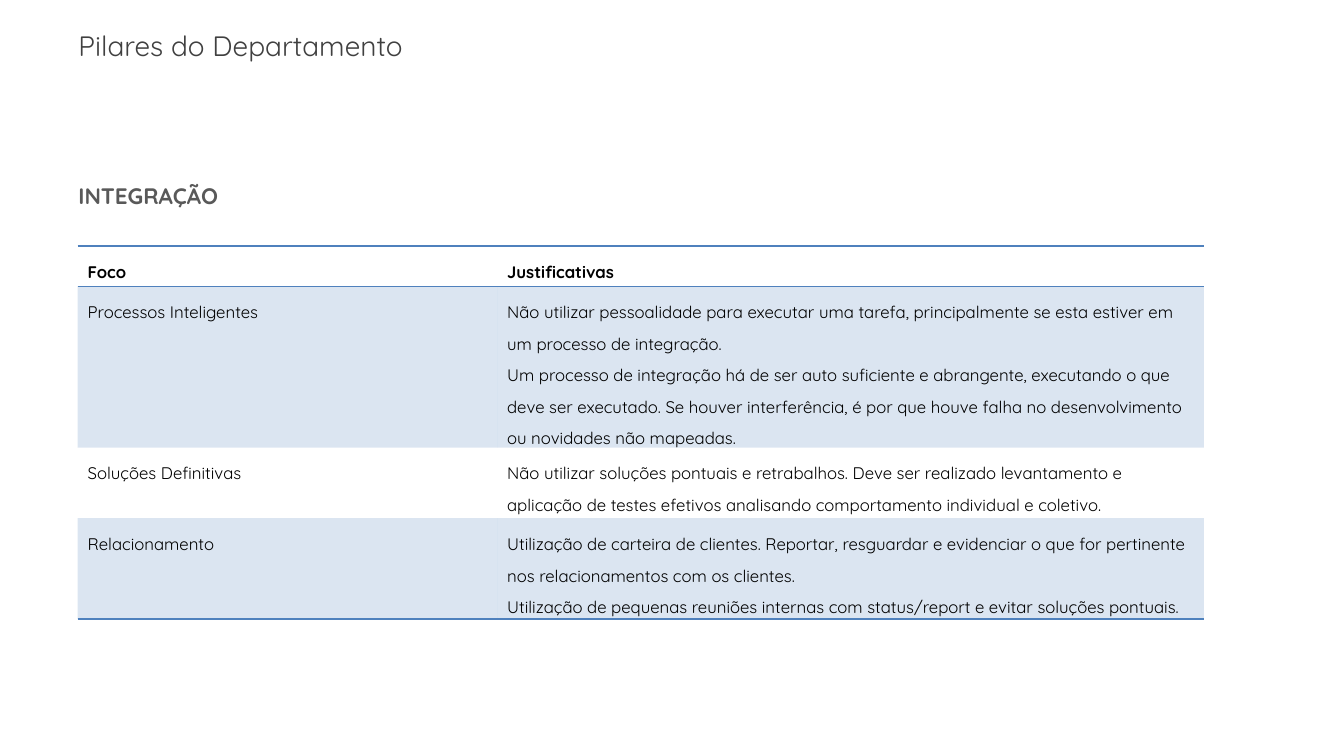
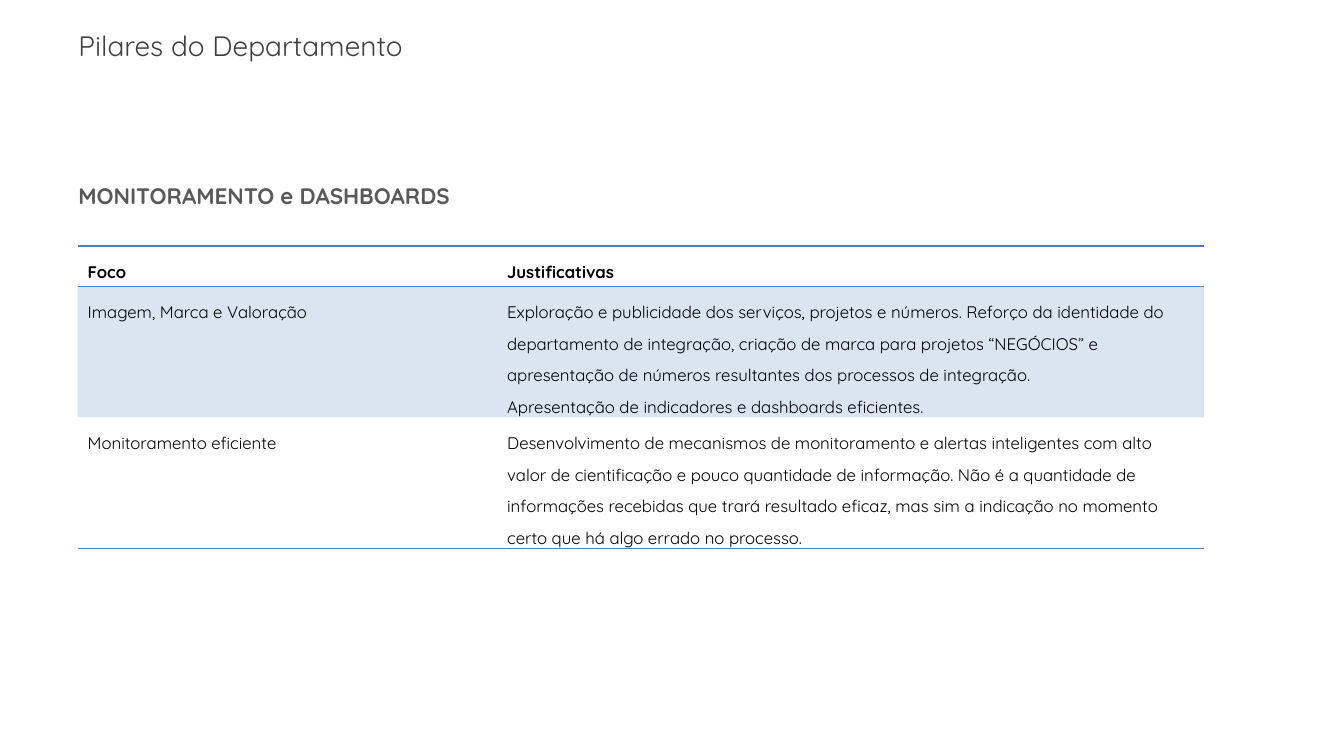
from dataclasses import dataclass

from lxml import etree
from pptx import Presentation
from pptx import util as u
from pptx.dml.color import RGBColor
from pptx.enum import text
from pptx.oxml import ns


@dataclass(frozen=True)
class Theme:
    font: str = "Quicksand"
    title_color: str = "404040"
    heading_color: str = "595959"
    body_color: str = "000000"
    accent: str = "4F81BD"
    band_opacity: int = 20
    title_size: int = 20
    heading_size: int = 16
    body_size: int = 12
    line_spacing: float = 1.5
    rule_width: int = 1


class Deck:
    """Holds the style, the presentation and the current slide."""

    def __init__(self, theme):
        self.theme = theme
        self.prs = Presentation()
        self.prs.slide_width = u.Inches(13.33)
        self.prs.slide_height = u.Inches(7.5)
        self.slide = None

    def new_slide(self):
        self.slide = self.prs.slides.add_slide(self.prs.slide_layouts[6])

    def fill_text(self, frame, paragraphs, size, color, bold=False, spacing=None):
        font_values = {"name": self.theme.font, "size": u.Pt(size), "bold": bold}
        for index, words in enumerate(paragraphs):
            paragraph = frame.add_paragraph() if index else frame.paragraphs[0]
            paragraph.line_spacing = spacing
            run = paragraph.add_run()
            run.text = words
            for name, value in font_values.items():
                setattr(run.font, name, value)
            run.font.color.rgb = RGBColor.from_string(color)

    def text_box(self, box, words, frame_values, **style):
        frame = self.slide.shapes.add_textbox(*map(u.Inches, box)).text_frame
        for name, value in {"word_wrap": True, **frame_values}.items():
            setattr(frame, name, value)
        self.fill_text(frame, [words], **style)

    def title(self, words):
        self.text_box((0.68, 0.21, 12, 0.47), words,
                      {"vertical_anchor": text.MSO_ANCHOR.MIDDLE},
                      size=self.theme.title_size, color=self.theme.title_color)

    def heading(self, words):
        self.text_box((0.68, 1.62, 11.84, 0.45), words,
                      {"auto_size": text.MSO_AUTO_SIZE.SHAPE_TO_FIT_TEXT},
                      size=self.theme.heading_size, color=self.theme.heading_color,
                      bold=True, spacing=self.theme.line_spacing)

    def paint_band(self, cell):
        cell.fill.solid()
        cell.fill.fore_color.rgb = RGBColor.from_string(self.theme.accent)
        color = cell._tc.tcPr.find(".//" + ns.qn("a:srgbClr"))
        etree.SubElement(color, ns.qn("a:alpha"), val=str(self.theme.band_opacity * 1000))

    def rule_cell(self, cell, ruled_sides):
        """Draw the ruled sides and clear the others; borders precede the fill."""
        properties = cell._tc.get_or_add_tcPr()
        for position, side in enumerate("LRTB"):
            line = etree.Element(ns.qn("a:ln" + side), w=str(u.Pt(self.theme.rule_width)))
            if side in ruled_sides:
                fill = etree.SubElement(line, ns.qn("a:solidFill"))
                etree.SubElement(fill, ns.qn("a:srgbClr"), val=self.theme.accent)
            else:
                etree.SubElement(line, ns.qn("a:noFill"))
            properties.insert(position, line)

    def focus_table(self, focuses, height):
        rows = [("Foco", ["Justificativas"]), *focuses]
        box = map(u.Inches, (0.77, 2.44, 11.17, height))
        holder = self.slide.shapes.add_table(len(rows), 2, *box)
        table = holder.table
        table.first_row = table.horz_banding = False
        for column, width in zip(table.columns, (4.16, 7.01)):
            column.width = u.Inches(width)
        for index, (focus, reasons) in enumerate(rows):
            table.rows[index].height = u.Inches(0.41 if index else 0.22)
            # Rules above and below the header and below the last row
            ruled_sides = "T" if index < 2 else ""
            ruled_sides += "B" if index in (0, len(rows) - 1) else ""
            for cell, paragraphs in zip(table.rows[index].cells, ([focus], reasons)):
                self.fill_text(cell.text_frame, paragraphs, self.theme.body_size,
                               self.theme.body_color, bold=index == 0,
                               spacing=self.theme.line_spacing)
                if index % 2:
                    self.paint_band(cell)
                else:
                    cell.fill.background()
                self.rule_cell(cell, ruled_sides)
        holder.height = u.Inches(height)


# Content: heading, table height, rows of focus and reasons
PILLARS = [
    ("INTEGRAÇÃO", 3.89, [
        ("Processos Inteligentes", [
            "Não utilizar pessoalidade para executar uma tarefa, principalmente se esta "
            "estiver em um processo de integração.",
            "Um processo de integração há de ser auto suficiente e abrangente, executando "
            "o que deve ser executado. Se houver interferência, é por que houve falha no "
            "desenvolvimento ou novidades não mapeadas."]),
        ("Soluções Definitivas", [
            "Não utilizar soluções pontuais e retrabalhos. Deve ser realizado levantamento "
            "e aplicação de testes efetivos analisando comportamento individual e coletivo."]),
        ("Relacionamento", [
            "Utilização de carteira de clientes. Reportar, resguardar e evidenciar o que "
            "for pertinente nos relacionamentos com os clientes.",
            "Utilização de pequenas reuniões internas com status/report e evitar soluções "
            "pontuais."]),
    ]),
    ("MONITORAMENTO e DASHBOARDS", 2.92, [
        ("Imagem, Marca e Valoração", [
            "Exploração e publicidade dos serviços, projetos e números. Reforço da "
            "identidade do departamento de integração, criação de marca para projetos "
            "“NEGÓCIOS” e apresentação de números resultantes dos processos de integração.",
            "Apresentação de indicadores e dashboards eficientes."]),
        ("Monitoramento eficiente", [
            "Desenvolvimento de mecanismos de monitoramento e alertas inteligentes com "
            "alto valor de cientificação e pouco quantidade de informação. Não é a "
            "quantidade de informações recebidas que trará resultado eficaz, mas sim a "
            "indicação no momento certo que há algo errado no processo."]),
    ]),
]


def main():
    deck = Deck(Theme())
    for pillar, height, focuses in PILLARS:
        deck.new_slide()
        deck.title("Pilares do Departamento")
        deck.focus_table(focuses, height)
        deck.heading(pillar)
    deck.prs.save("out.pptx")


if __name__ == "__main__":
    main()
